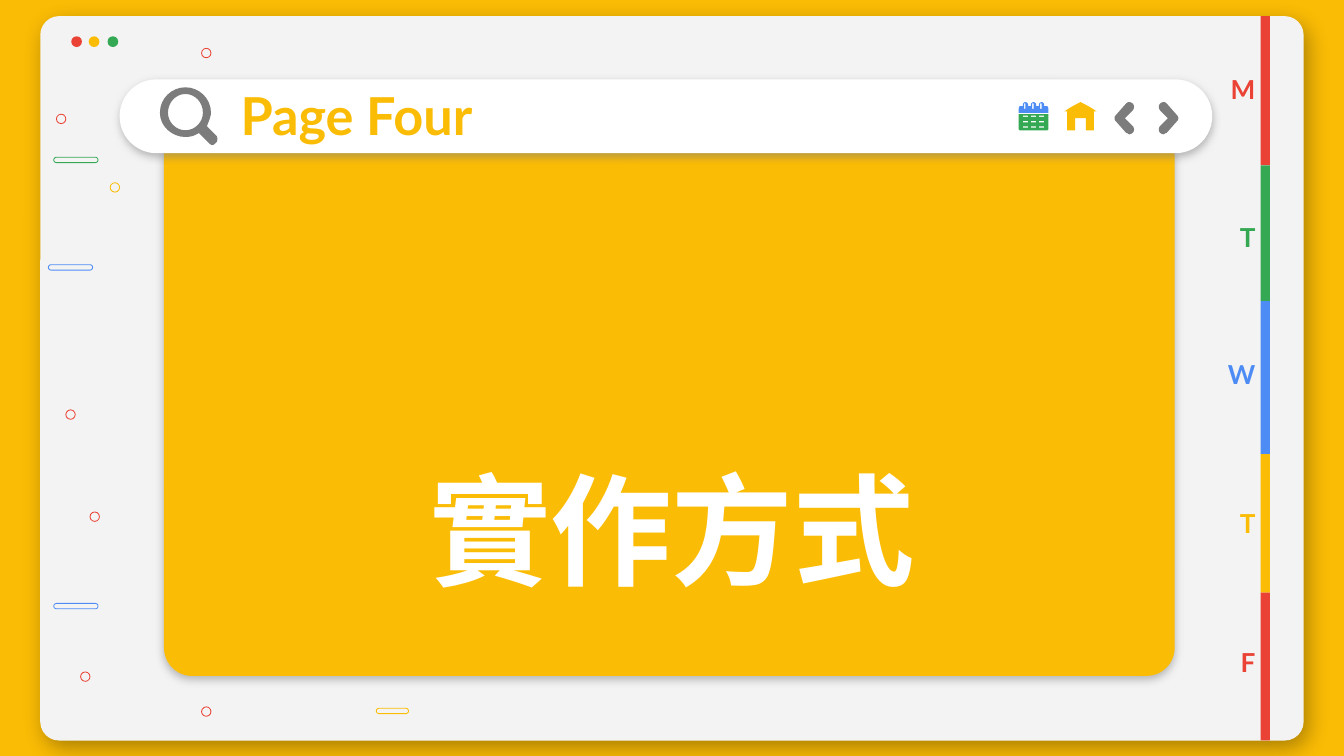
"""Build the yellow browser-window section slide with weekday tabs."""
from lxml import etree
from pptx import Presentation
from pptx.dml.color import RGBColor
from pptx.enum.shapes import MSO_SHAPE
from pptx.enum.text import MSO_ANCHOR, MSO_AUTO_SIZE, PP_ALIGN
from pptx.oxml.ns import qn
from pptx.util import Inches, Pt

OVAL, RECTANGLE, ROUNDED = MSO_SHAPE.OVAL, MSO_SHAPE.RECTANGLE, MSO_SHAPE.ROUNDED_RECTANGLE
LEFT, CENTER, RIGHT = PP_ALIGN.LEFT, PP_ALIGN.CENTER, PP_ALIGN.RIGHT
MIDDLE = MSO_ANCHOR.MIDDLE
NO_AUTOFIT = MSO_AUTO_SIZE.NONE

FONT = "Lato"
COLORS = {"red": "EA4335", "yellow": "FBBC05", "green": "34A853", "blue": "4D8CF5",
          "gray": "7C7C7C", "light": "F3F3F3", "white": "FFFFFF", "black": "000000"}

HEADING = "實作方式"
PAGE_NAME = "Page Four"
DAYS = [("M", "red", 0.51), ("T", "green", 1.61), ("W", "blue", 2.63),
        ("T", "yellow", 3.74), ("F", "red", 4.77)]
DAY_EDGES = [0.12, 1.23, 2.24, 3.38, 4.41, 5.51]
WINDOW_DOTS = [(0.53, "red"), (0.66, "yellow"), (0.8, "green")]
RINGS = [(0.67, 3.81, "red"), (0.82, 1.36, "yellow"), (0.42, 0.85, "red"),
         (0.6, 5, "red"), (0.49, 3.05, "red"), (1.5, 0.36, "red"), (1.5, 5.26, "red")]
PILLS = [(2.8, 5.27, 0.24, "yellow"), (0.36, 1.97, 0.33, "blue"),
         (0.4, 4.49, 0.33, "blue"), (0.4, 1.17, 0.33, "green")]
SOFT_SHADOW = ("gray", 50, 4.5, 1.5, 90)
WINDOW_SHADOW = ("black", 32, 12.4, 5.2, 57)

MAGNIFIER = [
    [(1.38, 0.7), (1.45, 0.7, 1.51, 0.76, 1.51, 0.84), (1.51, 0.91, 1.45, 0.97, 1.38, 0.97),
     (1.31, 0.97, 1.25, 0.91, 1.25, 0.84), (1.25, 0.76, 1.31, 0.7, 1.38, 0.7)],
    [(1.38, 0.65), (1.28, 0.65, 1.19, 0.73, 1.19, 0.84), (1.19, 0.94, 1.28, 1.02, 1.38, 1.02),
     (1.42, 1.02, 1.45, 1.01, 1.48, 0.99), (1.55, 1.06), (1.56, 1.07, 1.57, 1.08, 1.58, 1.08),
     (1.59, 1.08, 1.6, 1.07, 1.61, 1.06), (1.62, 1.05, 1.62, 1.02, 1.61, 1.01), (1.54, 0.94),
     (1.55, 0.91, 1.57, 0.87, 1.57, 0.84), (1.57, 0.73, 1.48, 0.65, 1.38, 0.65)]]
HOUSE = [[(8.04, 0.76), (8, 0.78, 7.96, 0.8, 7.92, 0.83), (7.94, 0.83), (7.94, 0.97), (8, 0.97),
          (8, 0.88), (8.08, 0.88), (8.08, 0.97), (8.14, 0.97), (8.14, 0.83), (8.16, 0.83),
          (8.12, 0.8, 8.08, 0.78, 8.04, 0.76)]]
NEXT_ARROW = [[(8.66, 0.76), (8.63, 0.76, 8.61, 0.79, 8.63, 0.82), (8.69, 0.88), (8.63, 0.94),
               (8.61, 0.97, 8.63, 1, 8.66, 1), (8.66, 1, 8.67, 0.99, 8.68, 0.99), (8.76, 0.9),
               (8.77, 0.89, 8.77, 0.87, 8.76, 0.86), (8.68, 0.77),
               (8.67, 0.76, 8.66, 0.76, 8.66, 0.76)]]
ARROW_MIRROR = 17.06


def rgb(color):
    return RGBColor.from_string(COLORS[color])


def add_shadow(shape, color, alpha, blur, distance, angle):
    effects = shape._element.spPr.find(qn("a:effectLst"))
    outer = etree.SubElement(effects, qn("a:outerShdw"), blurRad=str(Pt(blur)),
                             dist=str(Pt(distance)), dir=str(angle * 60000),
                             algn="bl", rotWithShape="0")
    tint = etree.SubElement(outer, qn("a:srgbClr"), val=COLORS[color])
    etree.SubElement(tint, qn("a:alpha"), val=str(alpha * 1000))


def paint(shape, fill=None, line=None, shadow=None):
    shape.shadow.inherit = False
    if fill:
        shape.fill.solid()
        shape.fill.fore_color.rgb = rgb(fill)
    else:
        shape.fill.background()
    if line:
        shape.line.color.rgb = rgb(line)
        shape.line.width = Pt(0.44)
    else:
        shape.line.fill.background()
    if shadow:
        add_shadow(shape, *shadow)


def add_box(slide, kind, box, radius=None, **style):
    shape = slide.shapes.add_shape(kind, *map(Inches, box))
    if radius is not None:
        shape.adjustments[0] = radius / min(box[2:])
    paint(shape, **style)


def flatten(contour, steps=8):
    points = [contour[0]]
    for segment in contour[1:]:
        if len(segment) == 2:
            points.append(segment)
            continue
        start = points[-1]
        for step in range(1, steps + 1):
            t = step / steps
            weights = ((1 - t) ** 3, 3 * t * (1 - t) ** 2, 3 * t * t * (1 - t), t ** 3)
            controls = (start, segment[:2], segment[2:4], segment[4:])
            points.append(tuple(sum(w * c[axis] for w, c in zip(weights, controls))
                                for axis in (0, 1)))
    return [(Inches(x), Inches(y)) for x, y in points]


def add_icon(slide, contours, color):
    outlines = [flatten(contour) for contour in contours]
    builder = slide.shapes.build_freeform(*outlines[0][0])
    for index, points in enumerate(outlines):
        if index:
            builder.move_to(*points[0])
        builder.add_line_segments(points[1:], close=True)
    paint(builder.convert_to_shape(), fill=color)


def block(left, top, width, height):
    right, bottom = left + width, top + height
    return [(left, top), (right, top), (right, bottom), (left, bottom)]


def add_calendar(slide):
    columns = [7.63, 7.69, 7.75]
    cells = [block(x - 0.02, y, 0.04, 0.01) for y in (0.86, 0.9, 0.94) for x in columns]
    page = [(7.58, 0.85), (7.58, 0.96), (7.58, 0.97, 7.59, 0.97, 7.6, 0.97), (7.78, 0.97),
            (7.79, 0.97, 7.8, 0.97, 7.8, 0.96), (7.8, 0.85)]
    add_icon(slide, [page] + cells, "green")
    header = [(7.58, 0.84), (7.58, 0.81), (7.58, 0.79, 7.59, 0.79, 7.6, 0.79)]
    for x in columns:
        header += [(x - 0.02, 0.79), (x - 0.02, 0.78), (x - 0.02, 0.77, x - 0.01, 0.76, x, 0.76),
                   (x + 0.01, 0.76, x + 0.02, 0.77, x + 0.02, 0.78), (x + 0.02, 0.79)]
    header += [(7.78, 0.79), (7.79, 0.79, 7.8, 0.79, 7.8, 0.81), (7.8, 0.84)]
    add_icon(slide, [header] + [block(x - 0.01, 0.77, 0.01, 0.04) for x in columns], "blue")


def write(shape, text, box, size, color, alignment):
    shape.left, shape.top, shape.width, shape.height = map(Inches, box)
    frame = shape.text_frame
    frame.text = text
    frame.word_wrap = True
    frame.auto_size = NO_AUTOFIT
    frame.vertical_anchor = MIDDLE
    frame.margin_left = frame.margin_right = Inches(0.1)
    frame.margin_top = frame.margin_bottom = Inches(0.1)
    paragraph = frame.paragraphs[0]
    paragraph.alignment = alignment
    paragraph.space_before = Pt(0)
    font = paragraph.runs[0].font
    font.name, font.size, font.bold = FONT, Pt(size), True
    font.color.rgb = rgb(color)


def main():
    presentation = Presentation()
    presentation.slide_width = Inches(10)
    presentation.slide_height = presentation.slide_width * 9 // 16
    slide = presentation.slides.add_slide(presentation.slide_layouts[0])
    slide.background.fill.solid()
    slide.background.fill.fore_color.rgb = rgb("yellow")
    title, subtitle = slide.placeholders

    add_box(slide, ROUNDED, (0.3, 0.12, 9.4, 5.39), 0.14, fill="light", shadow=WINDOW_SHADOW)
    for left, color in WINDOW_DOTS:
        add_box(slide, OVAL, (left, 0.27, 0.08, 0.08), fill=color)
    for left, top, width, color in PILLS:
        add_box(slide, ROUNDED, (left, top, width, 0.04), 0.02, line=color)
    for left, top, color in RINGS:
        add_box(slide, OVAL, (left, top, 0.07, 0.07), line=color)
    add_box(slide, ROUNDED, (1.22, 0.96, 7.52, 4.07), 0.21, fill="yellow", shadow=SOFT_SHADOW)
    add_box(slide, ROUNDED, (0.89, 0.59, 8.13, 0.55), 0.28, fill="white", shadow=SOFT_SHADOW)
    add_icon(slide, MAGNIFIER, "gray")

    write(subtitle, PAGE_NAME, (1.69, 0.64, 6.43, 0.42), 28, "yellow", LEFT)
    write(title, HEADING, (1.77, 3.13, 6.46, 1.6), 65, "white", CENTER)
    for placeholder in (subtitle, title):
        slide.shapes._spTree.append(placeholder._element)

    for (day, color, top), start, end in zip(DAYS, DAY_EDGES, DAY_EDGES[1:]):
        add_box(slide, RECTANGLE, (9.38, start, 0.07, end - start), fill=color)
        label = slide.shapes.add_textbox(0, 0, 0, 0)
        write(label, day, (8.96, top, 0.48, 0.31), 14, color, RIGHT)

    add_calendar(slide)
    add_icon(slide, HOUSE, "yellow")
    add_icon(slide, NEXT_ARROW, "gray")
    previous_arrow = [[tuple(ARROW_MIRROR - value if index % 2 == 0 else value
                             for index, value in enumerate(segment))
                       for segment in contour] for contour in NEXT_ARROW]
    add_icon(slide, previous_arrow, "gray")
    presentation.save("out.pptx")


if __name__ == "__main__":
    main()
